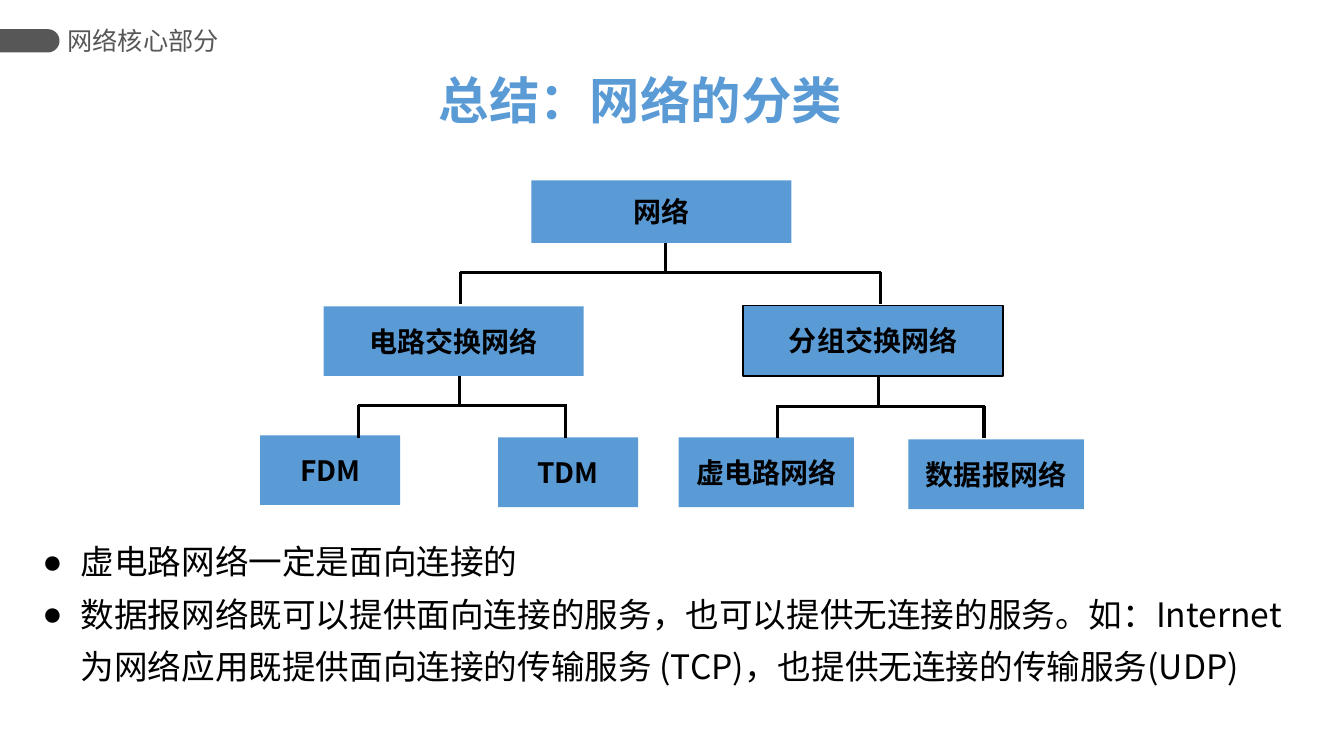
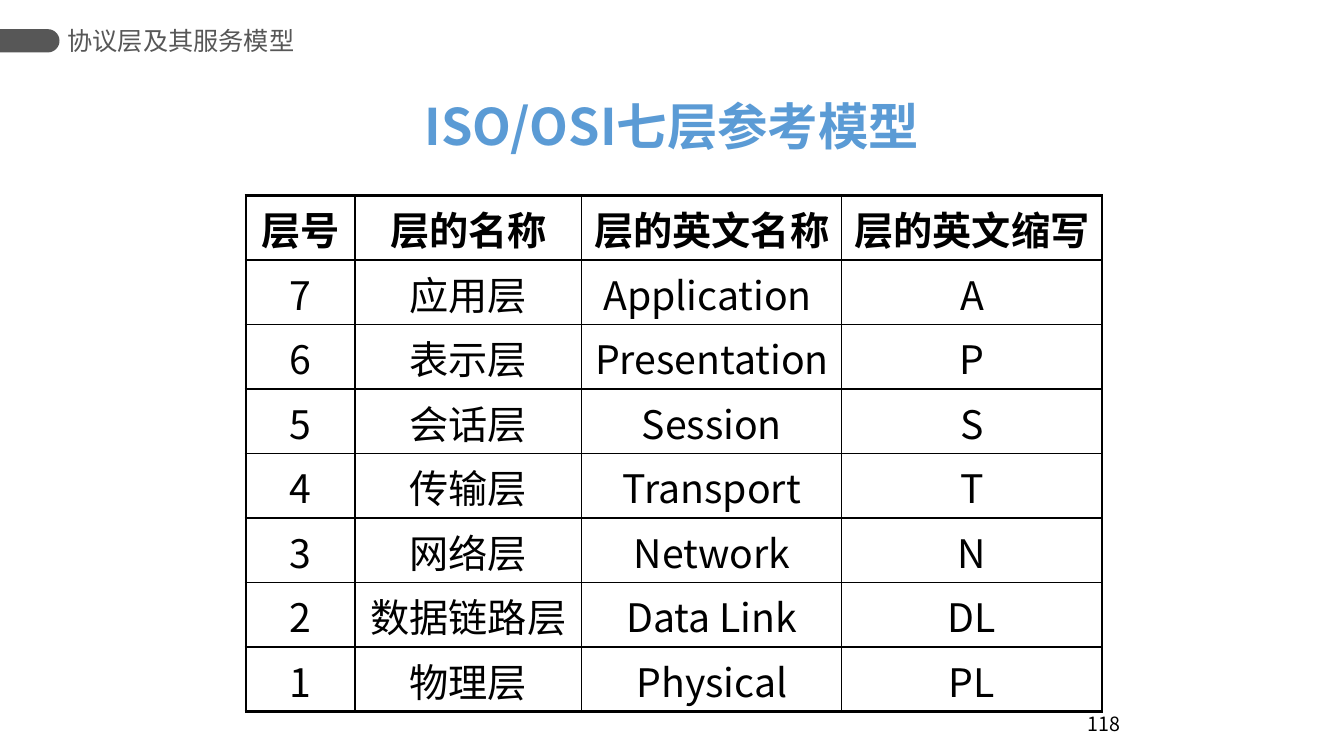
from math import cos, pi, sin

from lxml.etree import SubElement
from pptx import Presentation
from pptx.dml.color import RGBColor
from pptx.enum.shapes import MSO_CONNECTOR, MSO_SHAPE
from pptx.enum.text import MSO_ANCHOR, MSO_AUTO_SIZE, PP_ALIGN
from pptx.oxml.ns import qn
from pptx.util import Inches, Pt

HUES = {"blue": "5B9BD5", "gray": "575757", "black": "000000", "white": "FFFFFF"}
FACE = "Noto Sans CJK SC"


def tint(name):
    return RGBColor.from_string(HUES[name])


def place(*nums):
    return [Inches(n) for n in nums]


class Deck:
    """Holds the style and the current slide."""

    def __init__(self):
        self.prs = Presentation()
        self.prs.slide_width, self.prs.slide_height = place(13.33, 7.5)
        self.slide = None

    # Slide with band, header and title
    def start(self, layout, head, title, spot, align):
        self.slide = self.prs.slides.add_slide(self.prs.slide_layouts[layout])
        self.band()
        self.label(head, (0.67, 0.19, 2.33, 0.42), 18, "gray", side=0)
        frame = self.frame(self.slide.shapes.title, spot, MSO_ANCHOR.MIDDLE)
        self.text(frame.paragraphs[0], title, 36, "blue", True,
                  alignment=align, line_spacing=0.9)

    def band(self):
        rad, mid, edge = 0.115, 0.405, 0.475
        arc = [(edge + rad * cos(t), mid + rad * sin(t))
               for t in (pi * (n / 24 - 0.5) for n in range(25))]
        outline = self.slide.shapes.build_freeform(0, Inches(mid - rad))
        outline.add_line_segments([place(*dot) for dot in arc + [(0, mid + rad)]])
        self.paint(outline.convert_to_shape(), "gray")

    # Shared format
    def paint(self, shape, fill, line=None):
        shape.shadow.inherit = False
        shape.fill.solid()
        shape.fill.fore_color.rgb = tint(fill)
        if line:
            shape.line.color.rgb = tint(line)
            shape.line.width = Pt(1)
        else:
            shape.line.fill.background()

    def frame(self, shape, spot, anchor, side=0.1, wrap=True):
        shape.left, shape.top, shape.width, shape.height = place(*spot)
        frame = shape.text_frame
        style = {"word_wrap": wrap, "auto_size": MSO_AUTO_SIZE.NONE,
                 "vertical_anchor": anchor,
                 "margin_left": Inches(side), "margin_right": Inches(side),
                 "margin_top": Inches(0.05), "margin_bottom": Inches(0.05)}
        for key, val in style.items():
            setattr(frame, key, val)
        return frame

    def text(self, para, words, size, hue="black", bold=False, **style):
        for key, val in style.items():
            setattr(para, key, val)
        run = para.add_run()
        run.text = words
        for key, val in {"name": FACE, "size": Pt(size), "bold": bold}.items():
            setattr(run.font, key, val)
        run.font.color.rgb = tint(hue)
        SubElement(run.font._element, qn("a:ea"), typeface=FACE)

    # Elements
    def label(self, words, spot, size, hue="black", side=0.1,
              align=PP_ALIGN.LEFT, anchor=MSO_ANCHOR.MIDDLE):
        shape = self.slide.shapes.add_textbox(*place(*spot))
        frame = self.frame(shape, spot, anchor, side)
        self.text(frame.paragraphs[0], words, size, hue, alignment=align)

    def box(self, words, spot, line=None):
        shape = self.slide.shapes.add_shape(MSO_SHAPE.RECTANGLE, *place(*spot))
        self.paint(shape, "blue", line)
        frame = self.frame(shape, spot, MSO_ANCHOR.MIDDLE, wrap=False)
        self.text(frame.paragraphs[0], words, 20, bold=True,
                  alignment=PP_ALIGN.CENTER)

    def line(self, *ends):
        line = self.slide.shapes.add_connector(MSO_CONNECTOR.STRAIGHT, *place(*ends))
        line.line.color.rgb = tint("black")
        line.line.width = Pt(2.25)
        SubElement(line._element.spPr, qn("a:effectLst"))

    def fork(self, stem, top, mid, left, right, low):
        self.line(stem, top, stem, mid)
        self.line(left - 0.01, mid, right + 0.01, mid)
        for x in (left, right):
            self.line(x, mid, x, low)

    def list(self, items, spot):
        frame = self.frame(self.slide.placeholders[1], spot, MSO_ANCHOR.TOP)
        for n, words in enumerate(items):
            para = frame.add_paragraph() if n else frame.paragraphs[0]
            props = para._p.get_or_add_pPr()
            dent = Inches(0.38)
            props.set("marL", str(dent))
            props.set("indent", str(-dent))
            SubElement(props, qn("a:buChar"), char="●")
            self.text(para, words, 24, line_spacing=1.3, space_before=Pt(0))

    def table(self, rows, spot, wides):
        high, wide = len(rows), len(wides)
        grid = self.slide.shapes.add_table(high, wide, *place(*spot)).table
        grid.first_row = grid.horz_banding = False
        for col, size in zip(grid.columns, wides):
            col.width = Inches(size)
        for r, row in enumerate(rows):
            grid.rows[r].height = Inches(spot[3] / high)
            for c, words in enumerate(row):
                cell = grid.cell(r, c)
                cell.margin_top, cell.margin_bottom = place(0.05, 0)
                self.edge(cell, {"L": c == 0, "R": c == wide - 1,
                                 "T": r == 0, "B": r == high - 1})
                cell.fill.solid()
                cell.fill.fore_color.rgb = tint("white")
                self.text(cell.text_frame.paragraphs[0], words, 28,
                          bold=r == 0, alignment=PP_ALIGN.CENTER)

    def edge(self, cell, sides):
        props = cell._tc.get_or_add_tcPr()
        for side, outer in sides.items():
            width = Pt(2.25 if outer else 1)
            rule = SubElement(props, qn("a:ln" + side), w=str(width))
            fill = SubElement(rule, qn("a:solidFill"))
            SubElement(fill, qn("a:srgbClr"), val=HUES["black"])


def sorts(deck):
    deck.start(1, "网络核心部分", "总结：网络的分类", (4.25, 0.7, 4.35, 0.65),
               PP_ALIGN.LEFT)
    # Tree
    for words, spot, line in [
        ("网络", (5.27, 1.79, 2.58, 0.62), None),
        ("电路交换网络", (3.21, 3.04, 2.58, 0.69), None),
        ("分组交换网络", (7.37, 3.03, 2.58, 0.7), "black"),
        ("FDM", (2.58, 4.32, 1.39, 0.69), None),
        ("TDM", (4.94, 4.34, 1.39, 0.69), None),
        ("虚电路网络", (6.73, 4.34, 1.74, 0.69), None),
        ("数据报网络", (9.01, 4.36, 1.74, 0.69), None),
    ]:
        deck.box(words, spot, line)
    for fork in [(6.6, 2.41, 2.7, 4.57, 8.73, 3.02),
                 (4.56, 3.73, 4.02, 3.56, 5.61, 4.35),
                 (8.71, 3.74, 4.03, 7.71, 9.76, 4.35)]:
        deck.fork(*fork)
    # Notes on the leaves
    deck.list([
        "虚电路网络一定是面向连接的",
        "数据报网络既可以提供面向连接的服务，也可以提供无连接的服务。如：Internet"
        "为网络应用既提供面向连接的传输服务 (TCP)，也提供无连接的传输服务(UDP)",
    ], (0.32, 5.2, 12.69, 1.68))


def layers(deck):
    deck.start(5, "协议层及其服务模型", "ISO/OSI七层参考模型",
               (0.86, 0.96, 11.61, 0.65), PP_ALIGN.CENTER)
    deck.label("118", (9.13, 6.85, 2.08, 0.5), 14,
               align=PP_ALIGN.RIGHT, anchor=MSO_ANCHOR.BOTTOM)
    # Layer table
    deck.table([
        ("层号", "层的名称", "层的英文名称", "层的英文缩写"),
        ("7", "应用层", "Application ", "A"),
        ("6", "表示层", "Presentation", "P"),
        ("5", "会话层", "Session", "S"),
        ("4", "传输层", "Transport", "T"),
        ("3", "网络层", "Network", "N"),
        ("2", "数据链路层", "Data Link", "DL"),
        ("1", "物理层", "Physical", "PL"),
    ], (2.44, 1.94, 8.5, 5.12), (1.08, 2.25, 2.58, 2.58))


def main():
    deck = Deck()
    sorts(deck)
    layers(deck)
    deck.prs.save("out.pptx")


if __name__ == "__main__":
    main()
